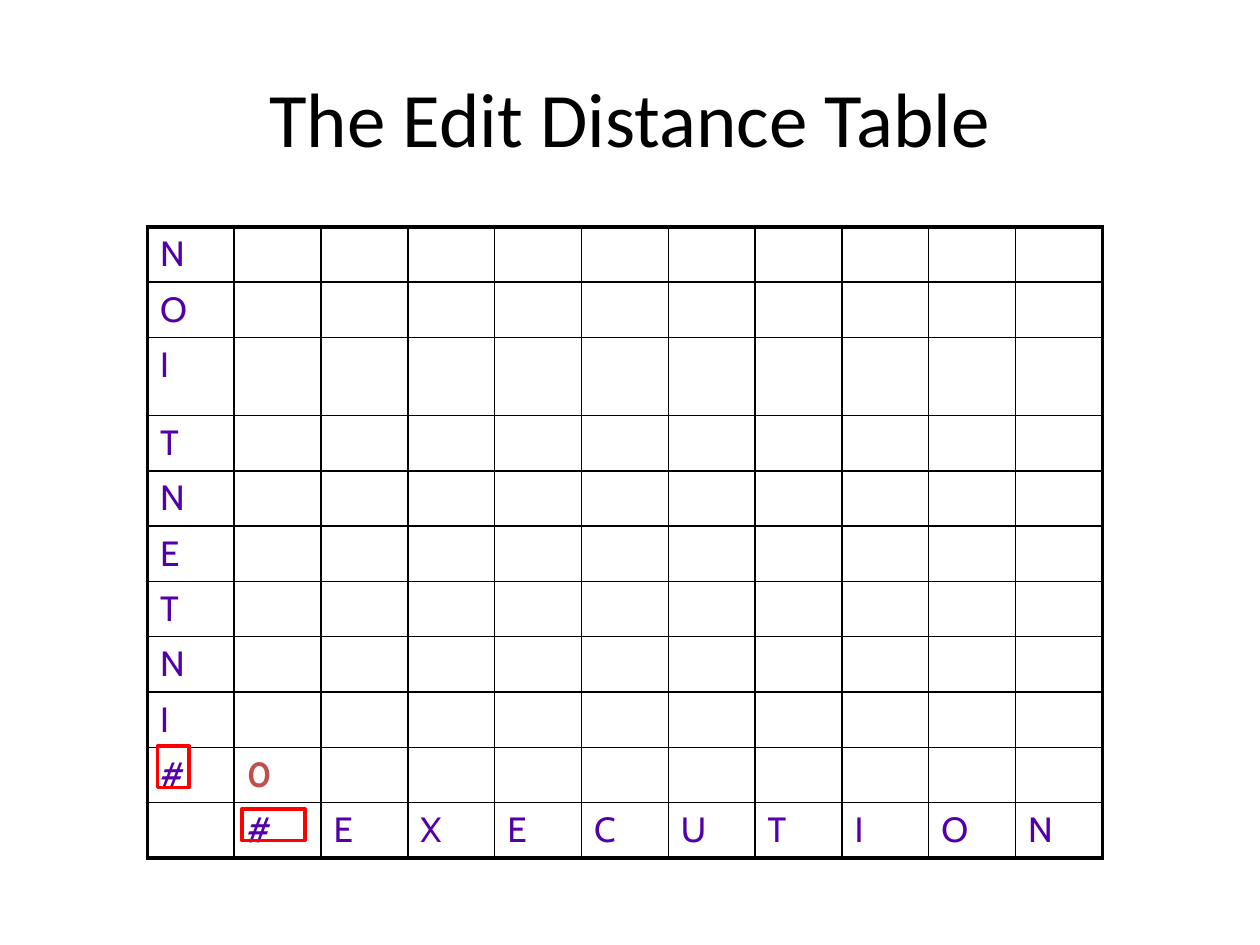
from lxml.etree import SubElement
from pptx import Presentation
from pptx.dml.color import RGBColor
from pptx.enum.shapes import MSO_SHAPE as Shape
from pptx.enum.text import MSO_ANCHOR as Anchor, PP_ALIGN as Align
from pptx.oxml.ns import qn
from pptx.util import Inches, Pt

BLACK, PURPLE, BRICK, RED = "000000", "5400A8", "C0504D", "FF0000"
SOURCE_WORD = "#INTENTION"
TARGET_WORD = "#EXECUTION"
THIN, THICK = 1, 2.25


def color(value):
    """Turn a hex string into a colour."""
    return RGBColor.from_string(value)


def add_run(paragraph, text, font, size, ink, bold=False):
    """Append one formatted run to a paragraph."""
    run = paragraph.add_run()
    run.text = text
    run.font.name = font
    run.font.size = Pt(size)
    run.font.bold = bold
    run.font.color.rgb = color(ink)


def set_borders(cell, widths):
    """Draw the cell's borders from a mapping of side to width in points."""
    properties = cell._tc.get_or_add_tcPr()
    for side in "LRTB":
        line = SubElement(properties, qn(f"a:ln{side}"), w=str(Pt(widths[side])))
        fill = SubElement(line, qn("a:solidFill"))
        SubElement(fill, qn("a:srgbClr"), val=BLACK)


def add_title(slide, left, top, width, height):
    """Place the slide title."""
    title = slide.shapes.title
    title.left, title.top = Inches(left), Inches(top)
    title.width, title.height = Inches(width), Inches(height)
    frame = title.text_frame
    frame.vertical_anchor = Anchor.MIDDLE
    paragraph = frame.paragraphs[0]
    paragraph.alignment = Align.CENTER
    add_run(paragraph, "The Edit Distance Table", "Calibri", 44, BLACK)


def add_distance_table(slide, left, top, width, height):
    """Place the grid with one word up the side and one along the bottom."""
    size = len(SOURCE_WORD) + 1
    last = size - 1
    table = slide.shapes.add_table(
        size, size, Inches(left), Inches(top), Inches(width), Inches(height)
    ).table
    table.first_row = table.horz_banding = False

    tall_row, tall_height = 2, 0.62
    for index in range(size):
        table.columns[index].width = Inches(width / size)
        table.rows[index].height = Inches((height - tall_height) / last)
    table.rows[tall_row].height = Inches(tall_height)

    labels = {(row, 0): letter for row, letter in enumerate(reversed(SOURCE_WORD))}
    labels.update({(last, column): letter for column, letter in enumerate(TARGET_WORD, 1)})
    start = (last - 1, 1)
    labels[start] = "0"

    for row in range(size):
        for column in range(size):
            cell = table.cell(row, column)
            set_borders(cell, {
                "L": THICK if column == 0 else THIN,
                "R": THICK if column == last else THIN,
                "T": THICK if row == 0 else THIN,
                "B": THICK if row == last else THIN,
            })
            cell.fill.background()
            position = (row, column)
            if position in labels:
                is_start = position == start
                add_run(cell.text_frame.paragraphs[0], labels[position], "Cabin", 20,
                        BRICK if is_start else PURPLE, is_start)


def add_marker(slide, left, top, width, height):
    """Place a red outline around a start symbol."""
    marker = slide.shapes.add_shape(
        Shape.RECTANGLE, Inches(left), Inches(top), Inches(width), Inches(height)
    )
    marker.shadow.inherit = False
    marker.fill.background()
    marker.line.color.rgb = color(RED)
    marker.line.width = Pt(2)


def main():
    """Build and save the slide."""
    presentation = Presentation()
    presentation.slide_width, presentation.slide_height = Inches(10), Inches(7.5)
    slide = presentation.slides.add_slide(presentation.slide_layouts[5])
    add_distance_table(slide, 1.17, 1.8, 7.58, 4.95)
    add_title(slide, 0.5, 0.3, 9, 1.25)
    add_marker(slide, 1.25, 5.92, 0.25, 0.33)
    add_marker(slide, 1.92, 6.42, 0.5, 0.25)
    presentation.save("out.pptx")


if __name__ == "__main__":
    main()
